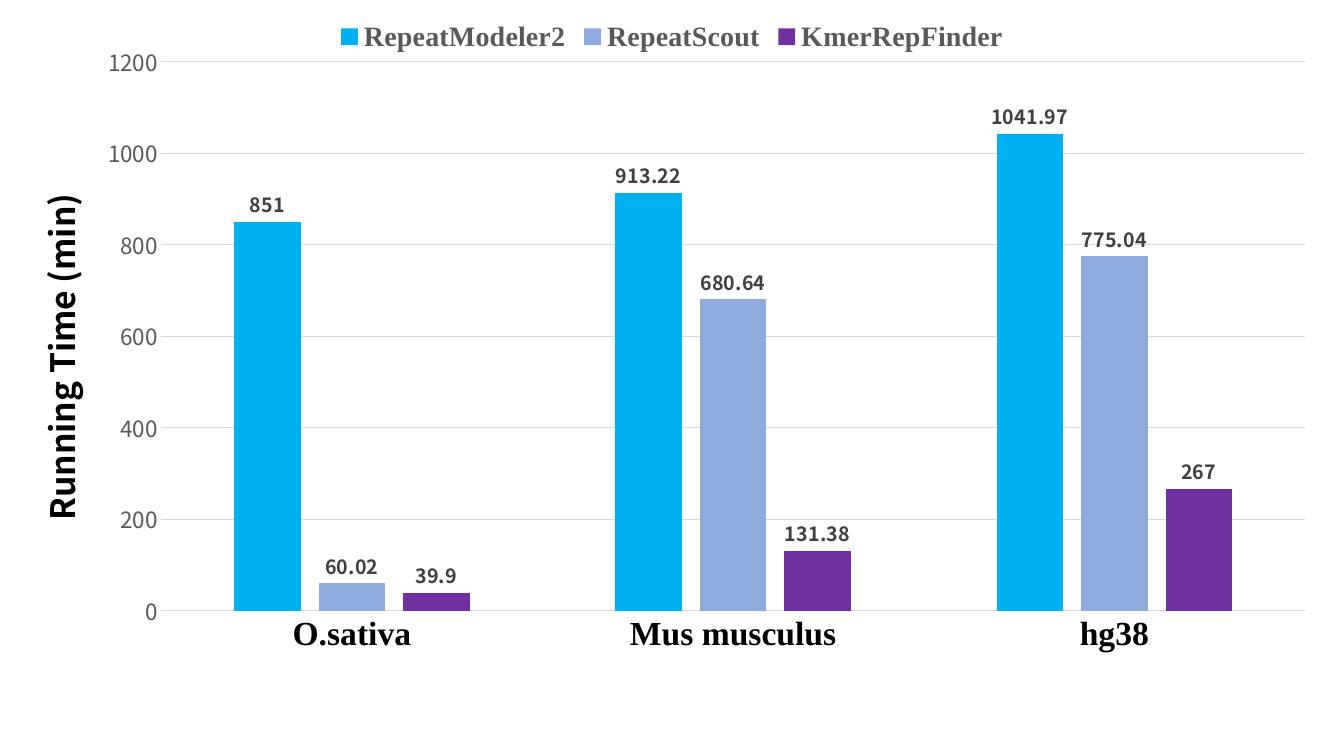
from pptx import Presentation
from pptx.chart.data import CategoryChartData
from pptx.dml.color import RGBColor
from pptx.enum import chart as ch
from pptx.oxml import parse_xml
from pptx.oxml.ns import nsdecls
from pptx.util import Inches, Pt

BLACK = RGBColor(0x00, 0x00, 0x00)
DARK = RGBColor(0x40, 0x40, 0x40)
GRAY = RGBColor(0x59, 0x59, 0x59)
RULE = RGBColor(0xD9, 0xD9, 0xD9)
CYAN = RGBColor(0x00, 0xB0, 0xF0)
BLUE = RGBColor(0x8F, 0xAA, 0xDC)
PURPLE = RGBColor(0x70, 0x30, 0xA0)
SANS, SERIF = "Noto Sans CJK SC", "Times New Roman"

SPECIES = ["O.sativa", "Mus musculus", "hg38"]
TOOLS = [
    ("RepeatModeler2", CYAN, (851, 913.22, 1041.97)),
    ("RepeatScout", BLUE, (60.02, 680.64, 775.04)),
    ("KmerRepFinder", PURPLE, (39.9, 131.38, 267)),
]


def style_font(font, color, **values):
    """Apply a colour and a dict of format values to a font."""
    font.color.rgb = color
    for name, value in values.items():
        setattr(font, name, value)


def style_line(line):
    """Give an axis or grid line the thin light rule."""
    line.color.rgb = RULE
    line.width = Pt(0.75)


def place(element, index, target="", **fractions):
    """Set the manual layout of a chart part as fractions of the chart."""
    for old in element.xpath("c:layout"):
        element.remove(old)
    inner = f'<c:layoutTarget val="{target}"/>' if target else ""
    inner += '<c:xMode val="edge"/><c:yMode val="edge"/>'
    inner += "".join(f'<c:{k} val="{v}"/>' for k, v in fractions.items())
    element.insert(index, parse_xml(
        f'<c:layout {nsdecls("c")}><c:manualLayout>{inner}</c:manualLayout></c:layout>'))


def format_axes(chart):
    """Format the species axis and the running time axis."""
    cat, val = chart.category_axis, chart.value_axis
    for axis in (cat, val):
        axis.major_tick_mark = axis.minor_tick_mark = ch.XL_TICK_MARK.NONE
    style_font(cat.tick_labels.font, BLACK, size=Pt(24), bold=True, name=SERIF)
    style_line(cat.format.line)

    val.minimum_scale, val.maximum_scale, val.major_unit = 0, 1200, 200
    style_font(val.tick_labels.font, GRAY, size=Pt(16), bold=False, name=SANS)
    val.format.line.fill.background()
    style_line(val.major_gridlines.format.line)
    title = val.axis_title
    p = title.text_frame.paragraphs[0]
    r = p.add_run()
    r.text = "Running Time (min)"
    style_font(r.font, BLACK, size=Pt(24), bold=True, name=SANS)
    title.text_frame._txBody.bodyPr.set("rot", "-5400000")
    title.text_frame._txBody.bodyPr.set("vert", "horz")
    place(title._element, 1, x=0.02, y=0.24)


def format_series(plot):
    """Colour the columns and label each with its value."""
    plot.gap_width, plot.overlap = 219, -27
    plot.vary_by_categories = False
    for series, (_, color, _) in zip(plot.series, TOOLS):
        series.format.fill.solid()
        series.format.fill.fore_color.rgb = color
        labels = series.data_labels
        labels.show_value = True
        labels.position = ch.XL_LABEL_POSITION.OUTSIDE_END
        style_font(labels.font, DARK, size=Pt(14), bold=True, name=SANS)


def add_running_time_chart(slide, left, top, width, height):
    """Add the running time column chart in the given box."""
    data = CategoryChartData()
    data.categories = SPECIES
    for name, _, minutes in TOOLS:
        data.add_series(name, minutes)
    chart = slide.shapes.add_chart(
        ch.XL_CHART_TYPE.COLUMN_CLUSTERED, left, top, width, height, data).chart
    chart.has_title = False
    style_font(chart.font, BLACK, size=Pt(10), name=SANS)
    chart.has_legend = True
    chart.legend.position = ch.XL_LEGEND_POSITION.TOP
    chart.legend.include_in_layout = False
    style_font(chart.legend.font, GRAY, size=Pt(20), bold=True, name=SERIF)
    format_axes(chart)
    format_series(chart.plots[0])
    plot_area = chart._chartSpace.chart.plotArea
    place(plot_area, 0, "inner", x=0.12, y=0.072, w=0.851, h=0.734)


def main():
    """Build the slide and save it."""
    prs = Presentation()
    prs.slide_width, prs.slide_height = Inches(13.33), Inches(7.5)
    s = prs.slides.add_slide(prs.slide_layouts[6])
    add_running_time_chart(s, 0, Inches(0.08), prs.slide_width, Inches(7.42))
    prs.save("out.pptx")


if __name__ == "__main__":
    main()
